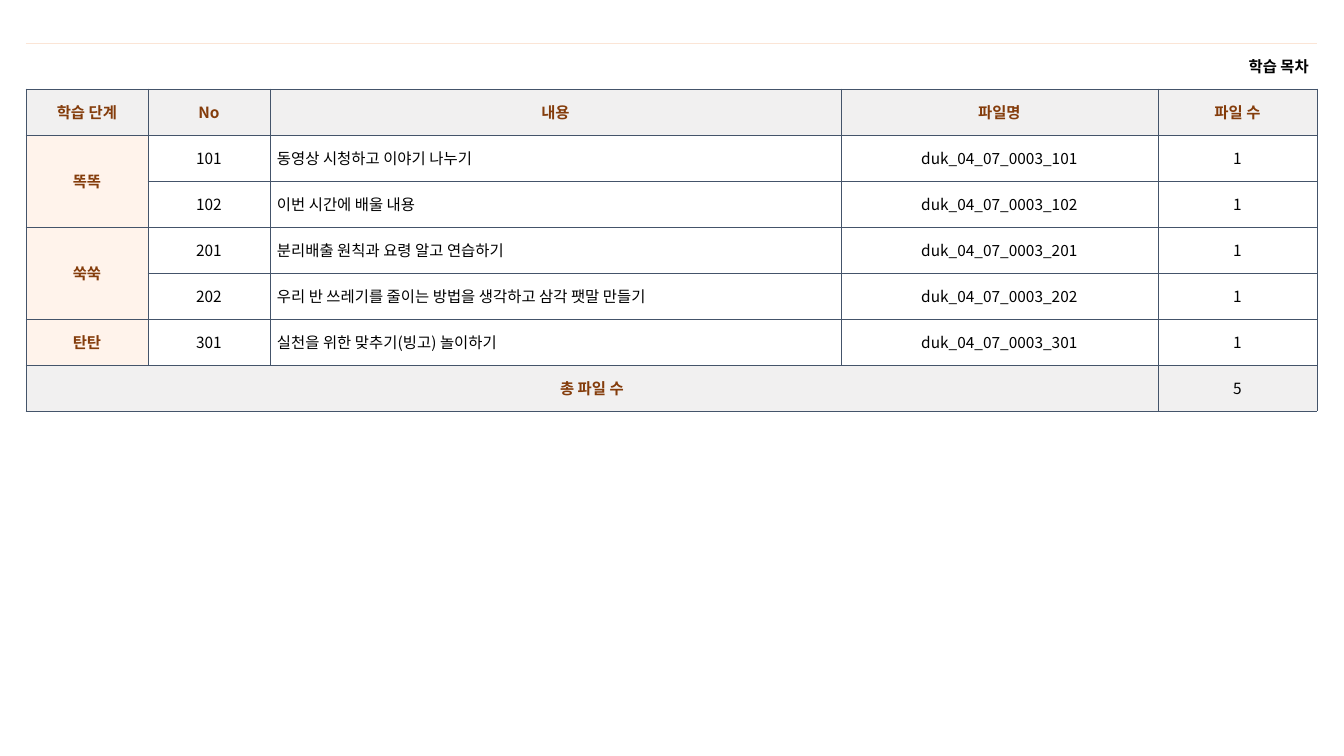
from lxml import etree
from pptx import Presentation
from pptx import util as u
from pptx.dml.color import RGBColor
from pptx.enum import text
from pptx.oxml.ns import qn

EMU_PER_PX = 914400 / 100.8
FONT, SIZE = "Noto Sans CJK KR", 11
BLACK, BROWN, NAVY = "000000", "843C0B", "44546A"
GREY, CREAM, WHITE, PEACH = "F1F0F0", "FFF3EB", "FFFFFF", "FBE5D6"
LEFT, CENTER, RIGHT = text.PP_ALIGN.LEFT, text.PP_ALIGN.CENTER, text.PP_ALIGN.RIGHT


def px(n):
    return u.Emu(round(n * EMU_PER_PX))


def rgb(color):
    return RGBColor.from_string(color)


class Deck:
    def __init__(self, width, height):
        self.prs = Presentation()
        self.prs.slide_width, self.prs.slide_height = px(width), px(height)
        self.s = self.prs.slides.add_slide(self.prs.slide_layouts[6])

    def table(self, left, top, col_widths, row_height, row_count):
        shape = self.s.shapes.add_table(row_count, len(col_widths), px(left), px(top),
                                        px(sum(col_widths)), px(row_height * row_count))
        tbl = shape.table
        tbl.first_row = tbl.horz_banding = False
        for col, width in zip(tbl.columns, col_widths):
            col.width = px(width)
        for row in tbl.rows:
            row.height = px(row_height)
        return tbl

    def borders(self, cell, **sides):
        """Each side, in the order L, R, T, B, is (colour, points) or None."""
        tcPr = cell._tc.get_or_add_tcPr()
        for side, line in sides.items():
            ln = etree.SubElement(tcPr, qn("a:ln" + side))
            if line is None:
                etree.SubElement(ln, qn("a:noFill"))
                continue
            color, points = line
            ln.set("w", str(u.Pt(points)))
            fill = etree.SubElement(ln, qn("a:solidFill"))
            etree.SubElement(fill, qn("a:srgbClr"), val=color)

    def fill(self, cell, color):
        if color is None:
            cell.fill.background()
        else:
            cell.fill.solid()
            cell.fill.fore_color.rgb = rgb(color)

    def label(self, cell, words, color=BLACK, bold=False, align=CENTER, side=7):
        cell.vertical_anchor = text.MSO_ANCHOR.MIDDLE
        cell.margin_left = cell.margin_right = px(side)
        cell.margin_top = cell.margin_bottom = px(5)
        p = cell.text_frame.paragraphs[0]
        p.add_run().text = words
        p.alignment = align
        f = p.font
        f.name, f.size, f.bold = FONT, u.Pt(SIZE), bold
        f.color.rgb = rgb(color)
        defaults = p._p.pPr.find(qn("a:defRPr"))
        etree.SubElement(defaults, qn("a:ea"), typeface=FONT)


HEADERS = ["학습 단계", "No", "내용", "파일명", "파일 수"]
STAGES = [
    ("똑똑", [(101, "동영상 시청하고 이야기 나누기"),
            (102, "이번 시간에 배울 내용")]),
    ("쑥쑥", [(201, "분리배출 원칙과 요령 알고 연습하기"),
            (202, "우리 반 쓰레기를 줄이는 방법을 생각하고 삼각 팻말 만들기")]),
    ("탄탄", [(301, "실천을 위한 맞추기(빙고) 놀이하기")]),
]


def main():
    deck = Deck(1344, 756)
    lesson_count = sum(len(lessons) for _, lessons in STAGES)
    last = lesson_count + 2
    tbl = deck.table(26, 43, [122, 122, 571, 317, 159], 46, last + 1)

    # Borders and fills
    grid = (NAVY, 0.5)
    for r in range(last + 1):
        for c in range(len(HEADERS)):
            cell = tbl.cell(r, c)
            if r == 0:
                deck.borders(cell, L=None, R=None, T=(PEACH, 0.25), B=grid)
                deck.fill(cell, None)
            else:
                deck.borders(cell, L=grid, R=grid, T=grid, B=grid)
                deck.fill(cell, GREY if r in (1, last) else CREAM if c == 0 else WHITE)

    # Title and header rows
    tbl.cell(0, 0).merge(tbl.cell(0, 4))
    deck.label(tbl.cell(0, 0), "학습 목차", bold=True, align=RIGHT, side=8)
    for c, header in enumerate(HEADERS):
        deck.label(tbl.cell(1, c), header, BROWN, True)

    # Lessons grouped by stage
    r = 2
    for stage, lessons in STAGES:
        if len(lessons) > 1:
            tbl.cell(r, 0).merge(tbl.cell(r + len(lessons) - 1, 0))
        deck.label(tbl.cell(r, 0), stage, BROWN, True)
        for number, content in lessons:
            deck.label(tbl.cell(r, 1), str(number))
            deck.label(tbl.cell(r, 2), content, align=LEFT)
            deck.label(tbl.cell(r, 3), f"duk_04_07_0003_{number}")
            deck.label(tbl.cell(r, 4), "1")
            r += 1

    # Total row
    tbl.cell(last, 0).merge(tbl.cell(last, 3))
    deck.label(tbl.cell(last, 0), "총 파일 수", BROWN, True)
    deck.label(tbl.cell(last, 4), str(lesson_count))

    deck.prs.save("out.pptx")


if __name__ == "__main__":
    main()
